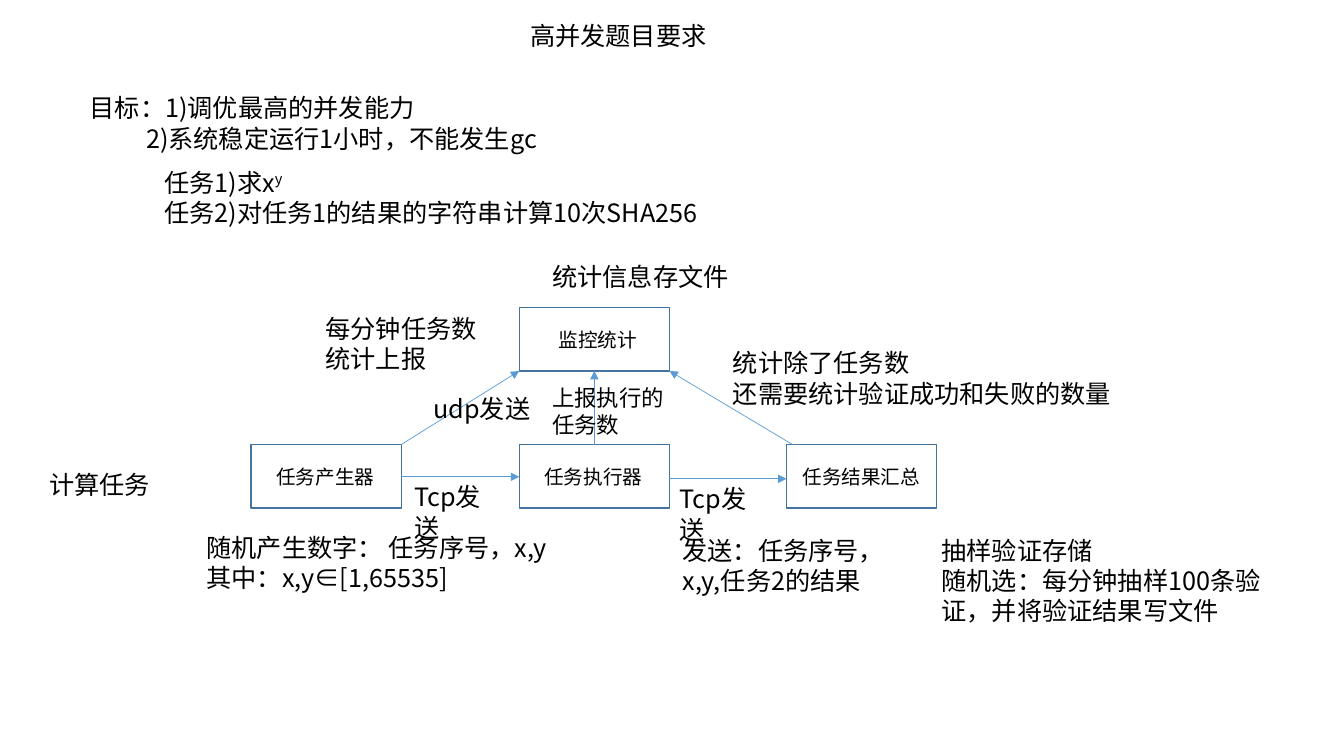
from pptx import Presentation
from pptx.dml.color import RGBColor
from pptx.enum.shapes import MSO_CONNECTOR as CONNECTOR, MSO_SHAPE as SHAPE
from pptx.enum.text import MSO_AUTO_SIZE as AUTO_SIZE
from pptx.oxml.ns import qn
from pptx.util import Inches, Pt
from lxml.etree import SubElement

CJK_FONT = "Noto Sans CJK SC"
BOX_WIDTH, BOX_HEIGHT = 1.49, 0.63
LEFT, MIDDLE, RIGHT = 2.49, 5.15, 7.8
MONITOR_TOP, TASK_TOP = 3.05, 4.41

# Boxes: left, top, label, label left, label width
BOXES = [
    (LEFT, TASK_TOP, "任务产生器", 2.64, 1.18),
    (MIDDLE, TASK_TOP, "任务执行器", 5.3, 1.18),
    (RIGHT, TASK_TOP, "任务结果汇总", 7.86, 1.38),
    (MIDDLE, MONITOR_TOP, "监控统计", 5.44, 0.99),
]

# Notes: left, top, width, height, lines, format
NOTES = [
    (5.16, 0.15, 1.97, 0.4, ["高并发题目要求"], {"wrap": False}),
    (0.79, 0.87, 5.08, 0.71,
     ["目标：1)调优最高的并发能力", "2)系统稳定运行1小时，不能发生gc"], {"indents": (0, 0.56)}),
    (1.53, 1.61, 6.27, 0.71,
     ["任务1)求x", "任务2)对任务1的结果的字符串计算10次SHA256"], {"exponent": "y"}),
    (5.38, 2.54, 2.63, 0.4, ["统计信息存文件"], {}),
    (3.13, 3.06, 1.77, 0.71, ["每分钟任务数", "统计上报"], {}),
    (7.17, 3.4, 3.99, 0.71,
     ["统计除了任务数", "还需要统计验证成功和失败的数量"], {"wrap": False}),
    (4.2, 3.85, 1.19, 0.4, ["udp发送"], {}),
    (5.38, 3.76, 1.32, 0.64, ["上报执行的任务数"], {"size": 16, "font": "Calibri"}),
    (0.39, 4.61, 1.91, 0.4, ["计算任务"], {}),
    (4.01, 4.73, 1.11, 0.4, ["Tcp发送"], {}),
    (6.64, 4.75, 1.11, 0.4, ["Tcp发送"], {}),
    (1.95, 5.23, 3.61, 0.71,
     ["随机产生数字： 任务序号，x,y", "其中：x,y∈[1,65535]"], {}),
    (6.67, 5.26, 2.32, 0.71, ["发送：任务序号，x,y,任务2的结果"], {}),
    (9.24, 5.26, 3.57, 1.01,
     ["抽样验证存储", "随机选：每分钟抽样100条验证，并将验证结果写文件"], {}),
]

# Arrows: start x, start y, end x, end y
MONITOR_BOTTOM = MONITOR_TOP + BOX_HEIGHT
MONITOR_CENTER = MIDDLE + BOX_WIDTH / 2
ARROWS = [
    (LEFT + BOX_WIDTH, TASK_TOP, MIDDLE, MONITOR_BOTTOM),
    (MONITOR_CENTER, TASK_TOP, MONITOR_CENTER, MONITOR_BOTTOM),
    (7.86, TASK_TOP, MIDDLE + BOX_WIDTH, MONITOR_BOTTOM),
    (LEFT + BOX_WIDTH, 4.73, MIDDLE, 4.73),
    (MIDDLE + BOX_WIDTH, 4.75, RIGHT, 4.75),
]

presentation = Presentation()
presentation.slide_width, presentation.slide_height = Inches(13.33), Inches(7.5)
slide = presentation.slides.add_slide(presentation.slide_layouts[6])


def color(value):
    return RGBColor.from_string(value)


def add_run(paragraph, text, size, font):
    run = paragraph.add_run()
    run.text = text
    run.font.size, run.font.name = Pt(size), font
    run.font.color.rgb = color("000000")
    properties = run.font._element
    SubElement(properties, qn("a:ea")).set("typeface", CJK_FONT)
    return properties


def add_text(left, top, width, height, lines, *, size=18, font=CJK_FONT,
             wrap=True, indents=(), exponent=""):
    box = slide.shapes.add_textbox(*map(Inches, (left, top, width, height)))
    frame = box.text_frame
    frame.word_wrap, frame.auto_size = wrap, AUTO_SIZE.SHAPE_TO_FIT_TEXT
    for index, line in enumerate(lines):
        paragraph = frame.paragraphs[0] if index == 0 else frame.add_paragraph()
        add_run(paragraph, line, size, font)
        if index == 0 and exponent:
            add_run(paragraph, exponent, size, font).set("baseline", "30000")
        if indents:
            paragraph._p.get_or_add_pPr().set("marL", str(Inches(indents[index])))


def add_box(left, top):
    shape = slide.shapes.add_shape(
        SHAPE.RECTANGLE, *map(Inches, (left, top, BOX_WIDTH, BOX_HEIGHT)))
    shape.shadow.inherit = False
    shape.fill.background()
    shape.line.color.rgb = color("43739E")
    shape.line.width = Pt(1)


def add_arrow(*ends):
    arrow = slide.shapes.add_connector(CONNECTOR.STRAIGHT, *map(Inches, ends))
    arrow.line.color.rgb = color("5B9BD5")
    arrow.line.width = Pt(0.5)
    SubElement(arrow.line._get_or_add_ln(), qn("a:tailEnd")).set("type", "triangle")
    SubElement(arrow._element.spPr, qn("a:effectLst"))


# Labelled boxes
for left, top, label, label_left, label_width in BOXES:
    add_box(left, top)
    add_text(label_left, top + 0.15, label_width, 0.34, [label], size=14, wrap=False)

# Arrows between the boxes
for ends in ARROWS:
    add_arrow(*ends)

# Title and notes
for left, top, width, height, lines, text_format in NOTES:
    add_text(left, top, width, height, lines, **text_format)

presentation.save("out.pptx")
